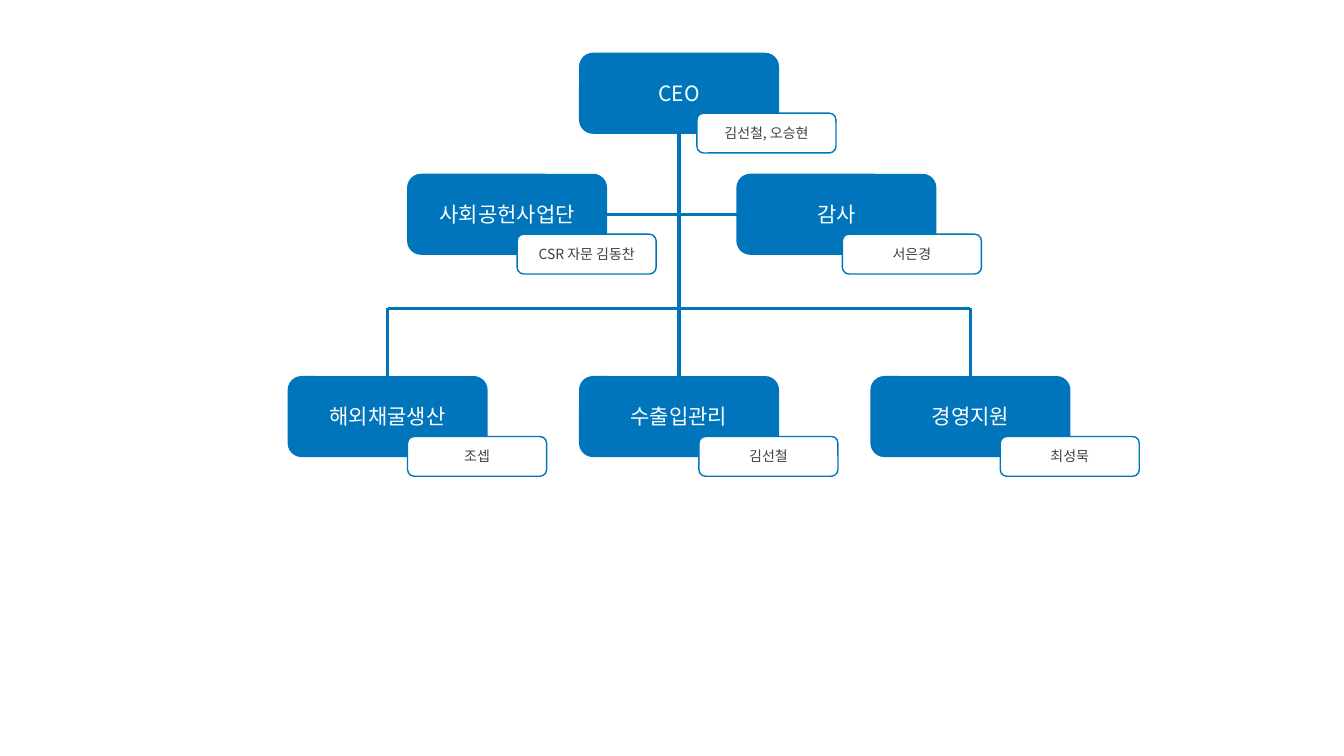
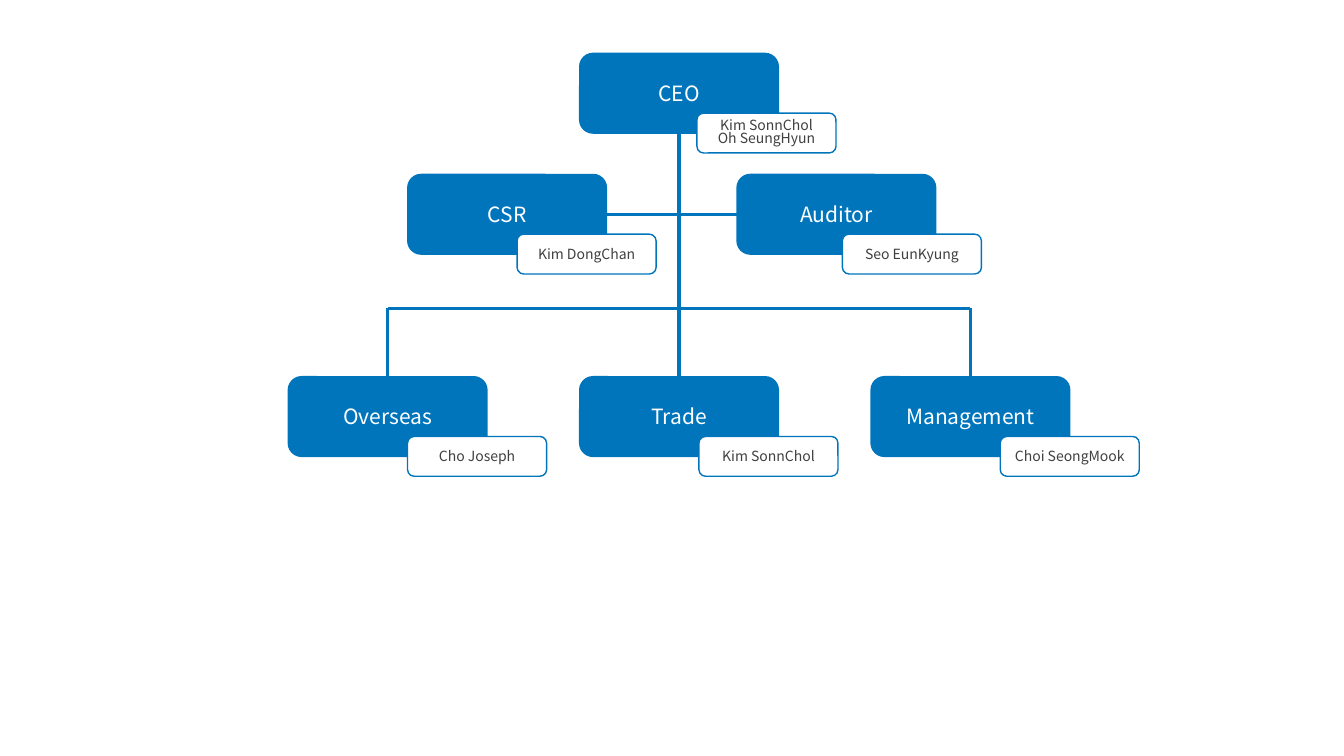
from lxml.etree import SubElement
from pptx import Presentation
from pptx.dml.color import RGBColor
from pptx.enum.shapes import MSO_CONNECTOR, MSO_SHAPE
from pptx.enum.text import MSO_ANCHOR, PP_ALIGN
from pptx.oxml.ns import qn
from pptx.util import Inches, Pt

BLUE, WHITE, GREY = "0075BC", "FFFFFF", "404040"
FONT = "Noto Sans CJK KR"
SLIDE_W, SLIDE_H = 13.33, 7.5
CHART = (2.86, 0.53, 7.75, 4.0)  # left, top, width, height of the unit boxes
UNIT_W, UNIT_H = 1.97, 0.79
TAG_W, TAG_H = 0.7 * UNIT_W, 0.5 * UNIT_H
UNIT = {"fill": BLUE, "color": WHITE, "size": 15}
TAG = {"fill": WHITE, "color": GREY, "size": 10}

# Column (in steps from the middle), row (in unit heights), tag shift (in unit widths)
PLACES = [(0, 0, 0.59), (-0.59, 1.52, 0.55), (0.54, 1.52, 0.53),
          (-1, 4.06, 0.6), (0, 4.06, 0.6), (1, 4.06, 0.65)]
BUS_ROW = 3.2

KOREAN = [("CEO", ["김선철, 오승현"]), ("사회공헌사업단", ["CSR 자문 김동찬"]),
          ("감사", ["서은경"]), ("해외채굴생산", ["조셉"]),
          ("수출입관리", ["김선철"]), ("경영지원", ["최성묵"])]
ENGLISH = [("CEO", ["Kim SonnChol", "Oh SeungHyun"]), ("CSR", ["Kim DongChan"]),
           ("Auditor", ["Seo EunKyung"]), ("Overseas", ["Cho Joseph"]),
           ("Trade", ["Kim SonnChol"]), ("Management", ["Choi SeongMook"])]


def rgb(value):
    """Turn a hex string into a colour."""
    return RGBColor.from_string(value)


def write(tf, lines, style):
    """Fill a text frame with centred lines, set tight when there are several."""
    frame = {"word_wrap": True, "vertical_anchor": MSO_ANCHOR.MIDDLE, "margin_left": 0,
             "margin_right": 0, "margin_top": 0, "margin_bottom": 0}
    for name, value in frame.items():
        setattr(tf, name, value)
    for i, line in enumerate(lines):
        p = tf.add_paragraph() if i else tf.paragraphs[0]
        p.alignment = PP_ALIGN.CENTER
        if len(lines) > 1:
            p.line_spacing = 0.8
        r = p.add_run()
        r.text = line
        for name, value in {"name": FONT, "size": Pt(style["size"])}.items():
            setattr(r.font, name, value)
        r.font.color.rgb = rgb(style["color"])
        SubElement(r.font._element, qn("a:ea")).set("typeface", FONT)


def add_box(s, box, lines, style):
    """Add a rounded box with text."""
    sp = s.shapes.add_shape(MSO_SHAPE.ROUNDED_RECTANGLE, *map(Inches, box))
    sp.shadow.inherit = False
    sp.fill.solid()
    sp.fill.fore_color.rgb = rgb(style["fill"])
    sp.line.color.rgb = rgb(BLUE)
    sp.line.width = Pt(1)
    write(sp.text_frame, lines, style)


def add_line(s, x1, y1, x2, y2):
    """Add a straight line between two points."""
    line = s.shapes.add_connector(MSO_CONNECTOR.STRAIGHT, *map(Inches, (x1, y1, x2, y2)))
    line.line.color.rgb = rgb(BLUE)
    line.line.width = Pt(2.25)
    SubElement(line._element.spPr, qn("a:effectLst"))


def add_links(s, units, bus):
    """Join the units: trunk, staff link, and a bus with a drop at each end."""
    ceo, csr, auditor, first, middle, last = units
    trunk = ceo[0] + UNIT_W / 2
    ends = [unit[0] + UNIT_W / 2 for unit in (first, last)]
    staff = csr[1] + UNIT_H / 2
    add_line(s, trunk, ceo[1] + UNIT_H, trunk, middle[1])
    add_line(s, csr[0] + UNIT_W, staff, auditor[0], staff)
    add_line(s, ends[0], bus, ends[1], bus)
    for x in ends:
        add_line(s, x, bus, x, first[1])


def add_org_chart(s, box, people):
    """Draw the organisation chart inside the given box."""
    left, top, width, _ = box
    step = (width - UNIT_W) / 2
    units = [(left + (1 + col) * step, top + row * UNIT_H, UNIT_W, UNIT_H)
             for col, row, _ in PLACES]
    for unit, (title, _) in zip(units, people):
        add_box(s, unit, [title], UNIT)
    for unit, (_, _, shift), (_, names) in zip(units, PLACES, people):
        tag = (unit[0] + shift * UNIT_W, unit[1] + 0.75 * UNIT_H, TAG_W, TAG_H)
        add_box(s, tag, names, TAG)
    add_links(s, units, top + BUS_ROW * UNIT_H)


prs = Presentation()
prs.slide_width, prs.slide_height = Inches(SLIDE_W), Inches(SLIDE_H)
for people in (KOREAN, ENGLISH):
    add_org_chart(prs.slides.add_slide(prs.slide_layouts[6]), CHART, people)
prs.save("out.pptx")
